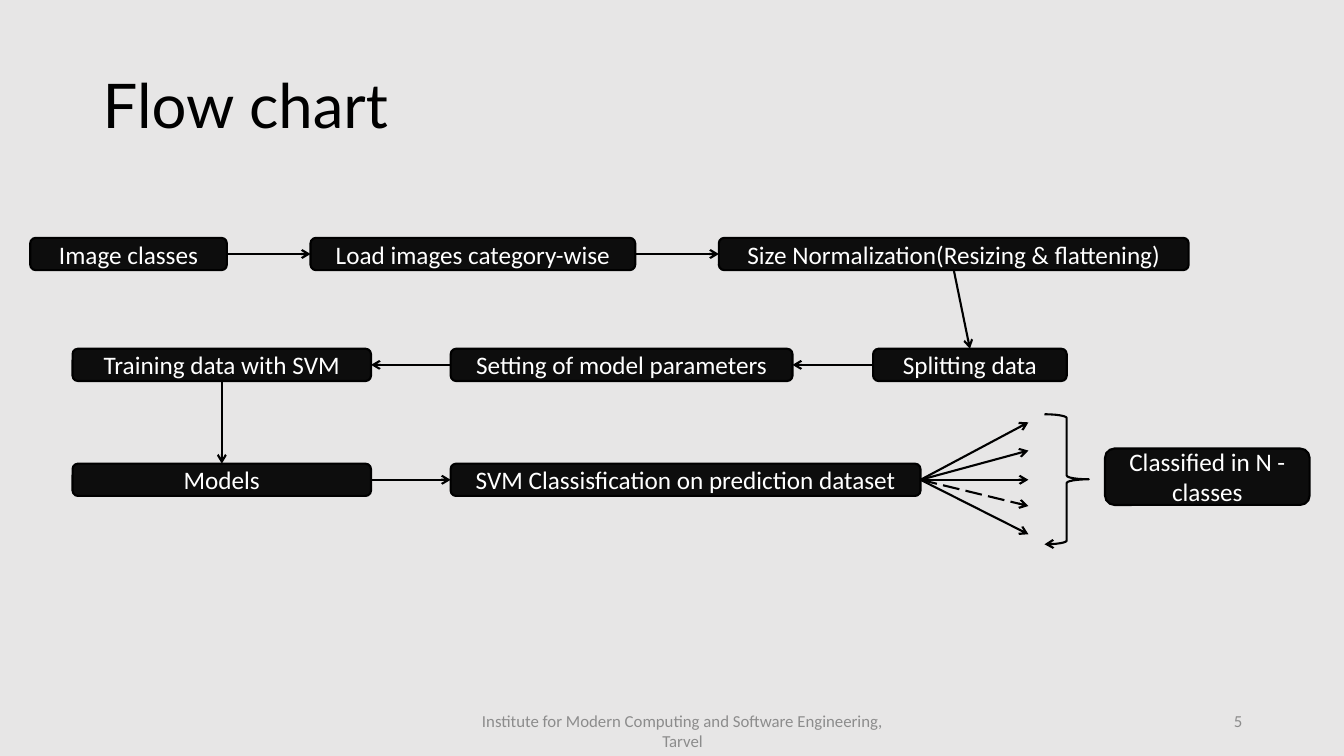
from itertools import pairwise

from lxml import etree
from pptx import Presentation
from pptx import util as u
from pptx.dml.color import RGBColor
from pptx.enum import dml, shapes, text
from pptx.oxml import ns

WIDTH, HEIGHT = 13.33, 7.5
INK, NODE_FILL, PAPER, WHITE, GREY = "000000", "0D0D0D", "E7E6E6", "FFFFFF", "8C8C8C"
TOP, LEFT, BOTTOM, RIGHT = range(4)
LABEL = {"size": u.Pt(18), "name": "Calibri"}
SMALL = {"size": u.Pt(12), "name": "Calibri"}
HEADING = {"size": u.Pt(44), "name": "Lato"}

# Flow rows: (left, width, label), each read from left to right
NODE_HEIGHT = 0.32
FLOW_ROWS = [
    (0, [(0.3, 1.95, "Image classes"),
         (3.08, 3.22, "Load images category-wise"),
         (7.13, 4.66, "Size Normalization(Resizing & flattening)")]),
    (1.1, [(0.72, 2.96, "Training data with SVM"),
           (4.47, 3.39, "Setting of model parameters"),
           (8.66, 1.92, "Splitting data")]),
    (2.24, [(0.72, 2.96, "Models"),
            (4.47, 4.66, "SVM Classisfication on prediction dataset")]),
]


def color(hex_string):
    return RGBColor.from_string(hex_string)


def inches(*lengths):
    return [u.Inches(length) for length in lengths]


def write(shape, words, font, hex_string, align):
    frame = shape.text_frame
    frame.word_wrap = True
    frame.vertical_anchor = text.MSO_ANCHOR.MIDDLE
    para = frame.paragraphs[0]
    para.alignment = align
    span = para.add_run()
    span.text = words
    for name, value in font.items():
        setattr(span.font, name, value)
    span.font.color.rgb = color(hex_string)
    return para


def add_label(page, box, words, font, hex_string, align):
    return write(page.shapes.add_textbox(*inches(*box)), words, font, hex_string, align)


def style_line(line, arrow=False, dash=None):
    line.color.rgb = color(INK)
    line.width = u.Pt(1.5)
    if dash:
        line.dash_style = dash
    if arrow:
        etree.SubElement(line.fill._xPr, ns.qn("a:tailEnd"), type="arrow")


def add_node(page, box, words):
    node = page.shapes.add_shape(shapes.MSO_SHAPE.ROUNDED_RECTANGLE, *inches(*box))
    node.shadow.inherit = False
    node.fill.solid()
    node.fill.fore_color.rgb = color(NODE_FILL)
    style_line(node.line)
    write(node, words, LABEL, WHITE, text.PP_ALIGN.CENTER)
    return node


def add_arrow(page, start, side, end=(0, 0), target=None, target_side=None, dash=None):
    arrow = page.shapes.add_connector(
        shapes.MSO_CONNECTOR.STRAIGHT, 0, 0, *inches(*end))
    arrow.begin_connect(start, side)
    if target is not None:
        arrow.end_connect(target, target_side)
    style_line(arrow.line, True, dash)
    etree.SubElement(arrow._element.spPr, ns.qn("a:effectLst"))


def add_flow(page, left, top):
    """Place the three rows of steps and join them; return the last step."""
    rows = [[add_node(page, (left + x, top + y, width, NODE_HEIGHT), words)
             for x, width, words in steps] for y, steps in FLOW_ROWS]
    loading, training, predicting = rows
    for steps in (loading, predicting):
        for first, second in pairwise(steps):
            add_arrow(page, first, RIGHT, target=second, target_side=LEFT)
    for first, second in pairwise(reversed(training)):
        add_arrow(page, first, LEFT, target=second, target_side=RIGHT)
    for first, second in ((loading[-1], training[-1]), (training[0], predicting[0])):
        add_arrow(page, first, BOTTOM, target=second, target_side=TOP)
    return predicting[-1]


def add_classes(page, left, top, classifier):
    """Fan out from the classifier to a brace and the result."""
    for y in (0.08, 0.36, 0.65, 0.91, 1.19):
        dash = dml.MSO_LINE.LONG_DASH if y == 0.91 else None
        add_arrow(page, classifier, RIGHT, (left, top + y), dash=dash)
    brace = page.shapes.add_shape(
        shapes.MSO_SHAPE.RIGHT_BRACE, *inches(left + 0.16, top, 0.44, 1.29))
    brace.shadow.inherit = False
    brace.fill.background()
    style_line(brace.line, arrow=True)
    add_node(page, (left + 0.76, top + 0.34, 2.03, 0.56), "Classified in N - classes")


def add_footer(page, top):
    add_label(page, (4.52, top + 0.1, 4.5, 0.4),
              "Institute for Modern Computing and Software Engineering, Tarvel",
              SMALL, GREY, text.PP_ALIGN.CENTER)
    add_label(page, (9.42, top, 3, 0.4), "5", SMALL, GREY, text.PP_ALIGN.RIGHT)


def main():
    deck = Presentation()
    deck.slide_width, deck.slide_height = inches(WIDTH, HEIGHT)
    page = deck.slides.add_slide(deck.slide_layouts[6])
    page.background.fill.solid()
    page.background.fill.fore_color.rgb = color(PAPER)

    # Title
    title = add_label(page, (0.92, 0.35, 12.28, 1.45), "Flow chart",
                      HEADING, INK, text.PP_ALIGN.LEFT)
    title.line_spacing = 0.9

    # Flow chart
    classifier = add_flow(page, 0, 2.36)
    add_classes(page, 10.2, 4.11, classifier)

    # Footer and page number
    add_footer(page, 6.95)
    deck.save("out.pptx")


if __name__ == "__main__":
    main()
